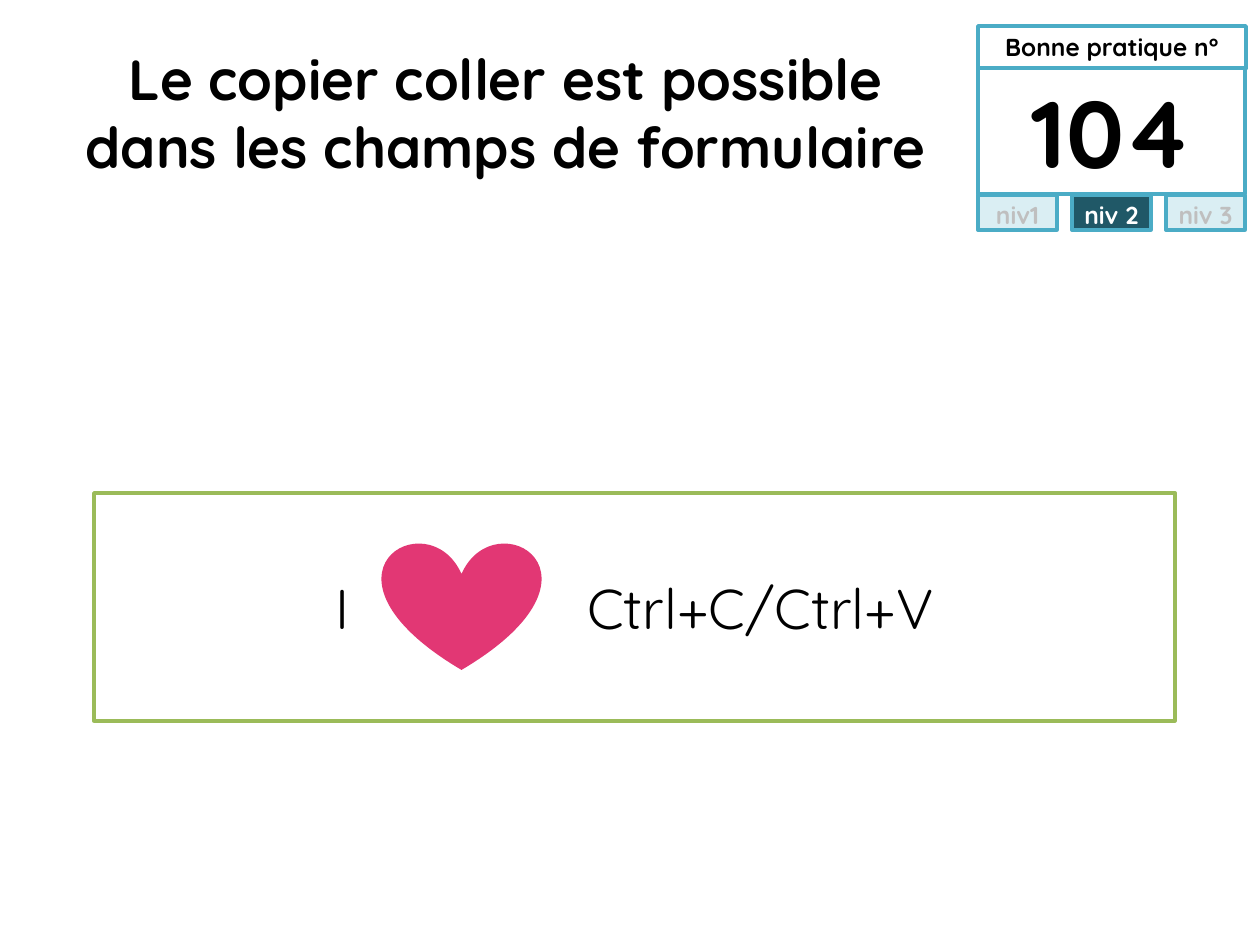
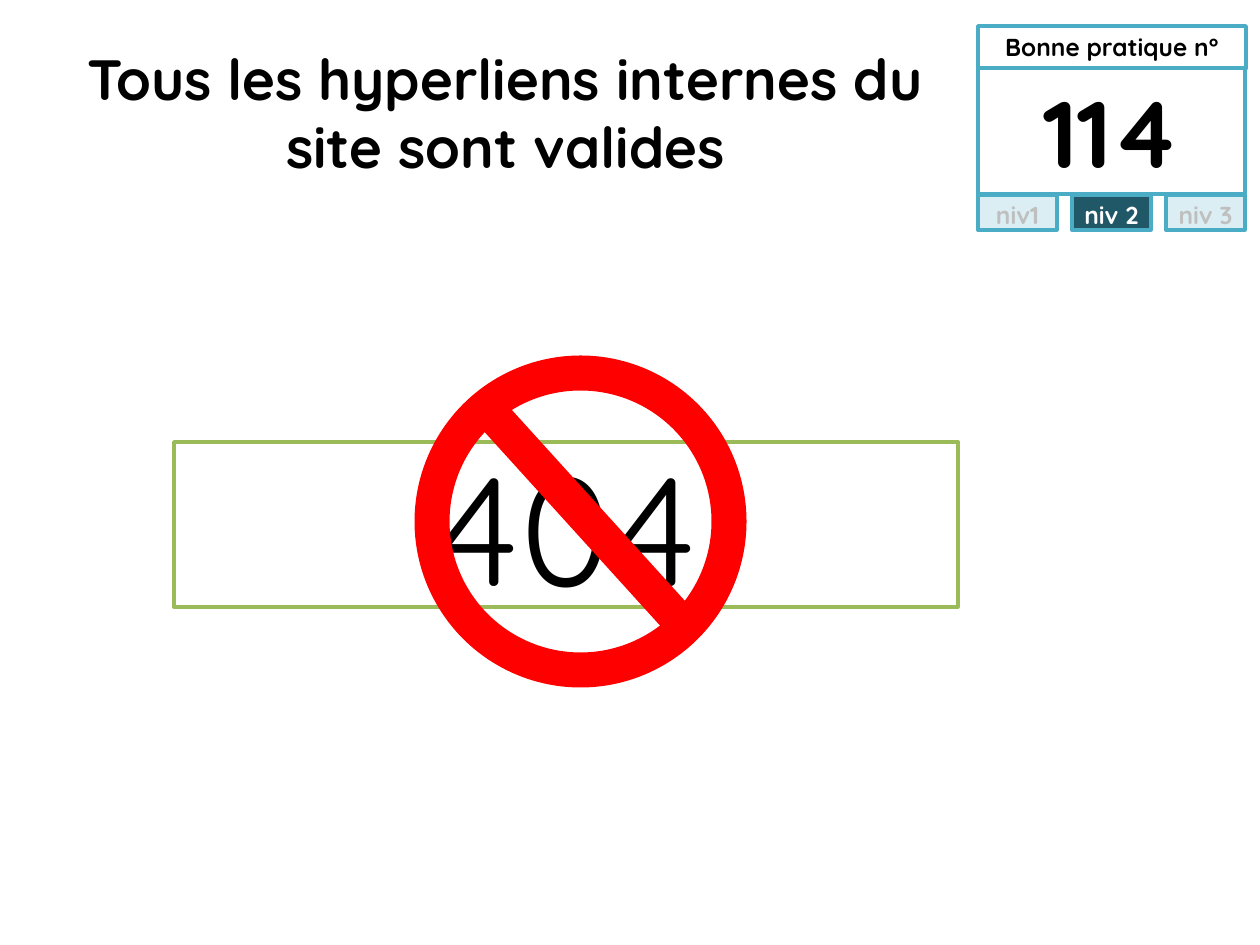
from typing import NamedTuple, Optional

from lxml.etree import SubElement
from pptx import Presentation
from pptx.dml.color import RGBColor
from pptx.enum.shapes import MSO_CONNECTOR, MSO_SHAPE
from pptx.enum.text import MSO_ANCHOR, PP_ALIGN
from pptx.oxml.ns import qn
from pptx.util import Emu, Pt

PX_PER_INCH = 126
FONT = "Quicksand"
BLACK = RGBColor(0x00, 0x00, 0x00)
WHITE = RGBColor(0xFF, 0xFF, 0xFF)
GREY = RGBColor(0xBF, 0xBF, 0xBF)
BLUE = RGBColor(0x4B, 0xAC, 0xC6)
PALE_BLUE = RGBColor(0xDA, 0xEE, 0xF3)
DARK_BLUE = RGBColor(0x20, 0x58, 0x67)
GREEN = RGBColor(0x9B, 0xBB, 0x59)
PINK = RGBColor(0xE2, 0x37, 0x74)
RED = RGBColor(0xFF, 0x00, 0x00)

LEVELS = ("niv1", "niv 2", "niv 3")
CARD_X = 978
LEVEL_STEP = 94


class Frame(NamedTuple):
    x: int
    y: int
    w: int
    h: int


class Box(NamedTuple):
    frame: Frame
    size: float
    bold: bool = True
    color: RGBColor = BLACK
    fill: RGBColor = WHITE
    line: Optional[RGBColor] = BLUE
    anchor: MSO_ANCHOR = MSO_ANCHOR.TOP
    inset: tuple[int, int] = (13, 6)
    tabs: tuple[int, ...] = ()


TITLE = Box(Frame(63, 38, 885, 158), 32.4, line=None)
CARD_HEADER = Box(Frame(CARD_X, 26, 268, 43), 14)
CARD_NUMBER = Box(Frame(CARD_X, 68, 267, 126), 54)


def px(value: int) -> Emu:
    return Emu(round(value * 914400 / PX_PER_INCH))


def add_shape(shapes, kind: MSO_SHAPE, frame: Frame, fill: Optional[RGBColor],
              line: Optional[RGBColor] = None, width: int = 2):
    s = shapes.add_shape(kind, *map(px, frame))
    s.shadow.inherit = False
    if fill is None:
        s.fill.background()
    else:
        s.fill.solid()
        s.fill.fore_color.rgb = fill
    if line is None:
        s.line.fill.background()
    else:
        s.line.color.rgb = line
        s.line.width = Pt(width)
    return s


def add_box(slide, box: Box, text: str) -> None:
    s = add_shape(slide.shapes, MSO_SHAPE.RECTANGLE, box.frame, box.fill, box.line)
    tf = s.text_frame
    tf.word_wrap = True
    tf.vertical_anchor = box.anchor
    tf.margin_left = tf.margin_right = px(box.inset[0])
    tf.margin_top = tf.margin_bottom = px(box.inset[1])
    p = tf.paragraphs[0]
    p.alignment = PP_ALIGN.CENTER
    if box.tabs:
        tab_list = SubElement(p._p.get_or_add_pPr(), qn("a:tabLst"))
        for position in box.tabs:
            SubElement(tab_list, qn("a:tab"), pos=str(px(position)), algn="l")
    p.font.name = FONT
    p.font.size = Pt(box.size)
    p.font.bold = box.bold
    p.font.color.rgb = box.color
    p.add_run().text = text


def add_panel(slide, frame: Frame, size: float, text: str, tabs: tuple[int, ...] = ()) -> None:
    add_box(slide, Box(frame, size, bold=False, line=GREEN,
                       anchor=MSO_ANCHOR.MIDDLE, tabs=tabs), text)


def add_practice_slide(prs, title: str, number: int, level: str):
    slide = prs.slides.add_slide(prs.slide_layouts[6])
    add_box(slide, CARD_HEADER, "Bonne pratique n°")
    for i, name in enumerate(LEVELS):
        active = name == level
        add_box(slide, Box(Frame(CARD_X + i * LEVEL_STEP, 195, 79, 35), 14,
                           color=WHITE if active else GREY,
                           fill=DARK_BLUE if active else PALE_BLUE,
                           inset=(5, 5)), name)
    add_box(slide, TITLE, title)
    add_box(slide, CARD_NUMBER, str(number))
    return slide


def add_ban_sign(slide) -> None:
    group = slide.shapes.add_group_shape()
    add_shape(group.shapes, MSO_SHAPE.OVAL, Frame(432, 373, 297, 297), None, RED, 20)
    bar = group.shapes.add_connector(MSO_CONNECTOR.STRAIGHT, *map(px, (491, 413, 685, 627)))
    bar.line.color.rgb = RED
    bar.line.width = Pt(20)
    SubElement(bar._element.spPr, qn("a:effectLst"))


def main() -> None:
    prs = Presentation()
    prs.slide_width, prs.slide_height = px(1260), px(945)

    slide = add_practice_slide(
        prs, "Le copier coller est possible dans les champs de formulaire", 104, "niv 2")
    add_panel(slide, Frame(94, 493, 1081, 228), 32, "I \t\tCtrl+C/Ctrl+V", tabs=(126, 252))
    add_shape(slide.shapes, MSO_SHAPE.HEART, Frame(382, 542, 159, 128), PINK)

    slide = add_practice_slide(
        prs, "Tous les hyperliens internes du site sont valides", 114, "niv 2")
    add_panel(slide, Frame(174, 442, 784, 165), 88, "404")
    add_ban_sign(slide)

    prs.save("out.pptx")


if __name__ == "__main__":
    main()
